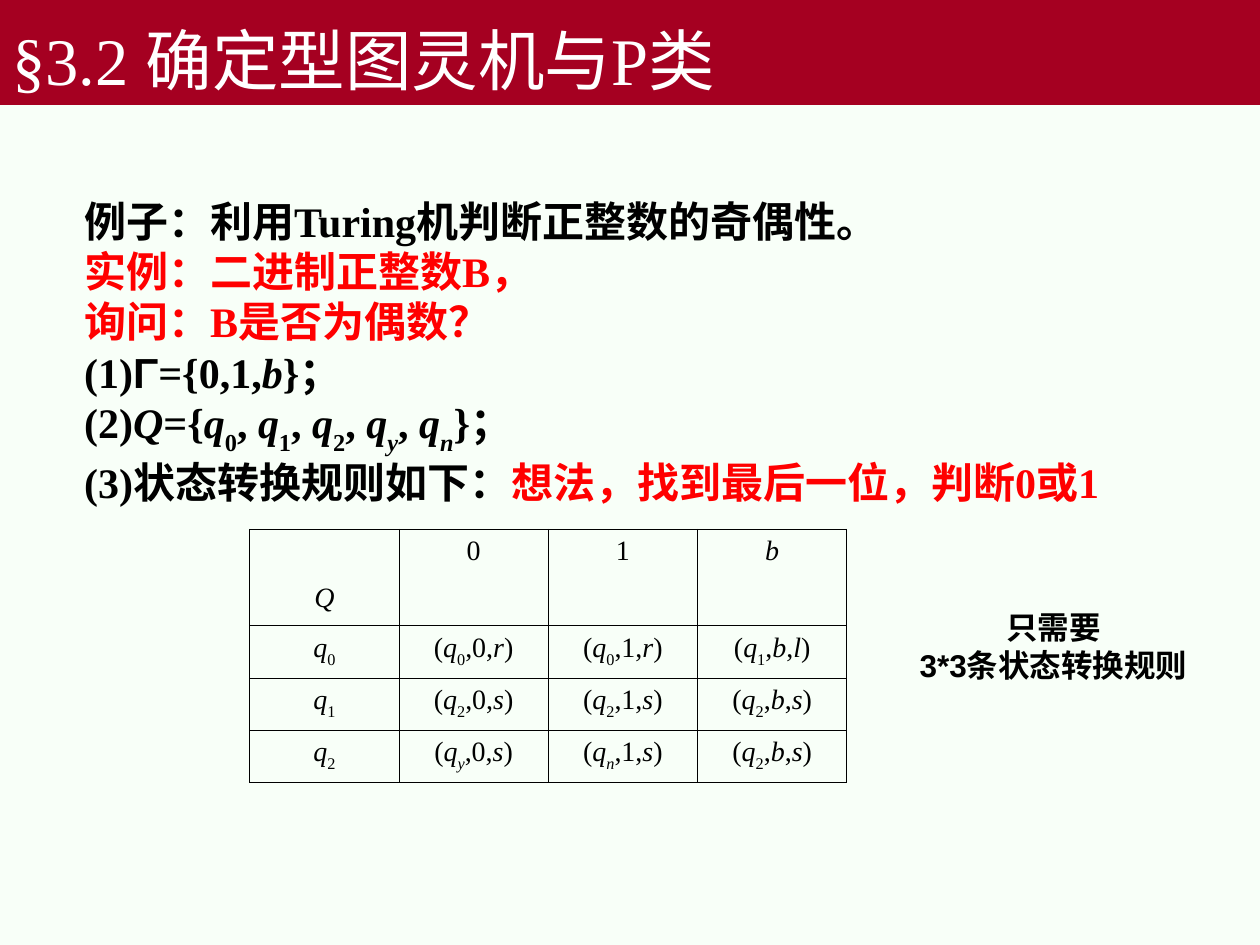
from lxml.etree import SubElement
from pptx import Presentation
from pptx.dml.color import RGBColor
from pptx.enum.shapes import MSO_SHAPE
from pptx.enum.text import MSO_ANCHOR, MSO_AUTO_SIZE, PP_ALIGN
from pptx.oxml.ns import qn
from pptx.util import Pt

COLORS = {"back": "F8FFF8", "bar": "A50021", "white": "FFFFFF",
          "black": "000000", "red": "FF0000"}
SERIF, SANS = "Times New Roman", "Arial"

# Each line is a list of (text, color, math).
LINES = [
    [("例子：利用Turing机判断正整数的奇偶性。", "black", False)],
    [("实例：二进制正整数B，", "red", False)],
    [("询问：B是否为偶数？", "red", False)],
    [("(1)Γ={0,1,b}；", "black", True)],
    [("(2)Q={q_0, q_1, q_2, q_y, q_n}；", "black", True)],
    [("(3)状态转换规则如下：", "black", False),
     ("想法，找到最后一位，判断0或1", "red", False)],
]
RULES = [
    ["Q", "0", "1", "b"],
    ["q_0", "(q_0,0,r)", "(q_0,1,r)", "(q_1,b,l)"],
    ["q_1", "(q_2,0,s)", "(q_2,1,s)", "(q_2,b,s)"],
    ["q_2", "(q_y,0,s)", "(q_n,1,s)", "(q_2,b,s)"],
]


def rgb(name):
    return RGBColor.from_string(COLORS[name])


def split(text, math):
    """Cut text into [chars, italic, low]; in math, "_" lowers the next sign."""
    if not math:
        return [[text, False, False]]
    parts, low = [], False
    for sign in text:
        if sign == "_":
            low = True
            continue
        slant = sign.isascii() and sign.isalpha()
        if parts and parts[-1][1:] == [slant, low] and "Γ" not in (sign, parts[-1][0]):
            parts[-1][0] += sign
        else:
            parts.append([sign, slant, low])
        low = False
    return parts


def write(frame, lines, size, font=SERIF, bold=False, align=PP_ALIGN.LEFT, space=None):
    """Fill a text frame with lines of (text, color, math) pieces."""
    for num, line in enumerate(lines):
        para = frame.add_paragraph() if num else frame.paragraphs[0]
        para.alignment = align
        if space:
            para.line_spacing = space
        for text, color, math in line:
            for chars, slant, low in split(text, math):
                run = para.add_run()
                run.text = chars
                face = run.font
                face.name = SANS if chars == "Γ" else font
                face.size, face.bold, face.italic = Pt(size), bold, slant
                face.color.rgb = rgb(color)
                if low:
                    run._r.get_or_add_rPr().set("baseline", "-30000")


def add_title(slide):
    bar = slide.shapes.add_shape(MSO_SHAPE.RECTANGLE, 0, 0, Pt(720), Pt(60))
    bar.shadow.inherit = False
    bar.fill.solid()
    bar.fill.fore_color.rgb = rgb("bar")
    bar.line.fill.background()
    frame = bar.text_frame
    frame.vertical_anchor = MSO_ANCHOR.BOTTOM
    write(frame, [[("§3.2 确定型图灵机与P类", "white", False)]], 38)


def add_box(slide, place, lines, size, wrap=True, anchor=MSO_ANCHOR.TOP, **look):
    frame = slide.shapes.add_textbox(*map(Pt, place)).text_frame
    frame.word_wrap = wrap
    frame.auto_size = MSO_AUTO_SIZE.SHAPE_TO_FIT_TEXT
    frame.vertical_anchor = anchor
    write(frame, lines, size, bold=True, **look)


def add_edges(cell):
    """Draw a thin line on all four sides of a cell."""
    props = cell._tc.get_or_add_tcPr()
    for num, side in enumerate(("lnL", "lnR", "lnT", "lnB")):
        edge = props.makeelement(qn("a:" + side), {"w": str(Pt(0.45))})
        fill = SubElement(edge, qn("a:solidFill"))
        SubElement(fill, qn("a:srgbClr"), val=COLORS["black"])
        props.insert(num, edge)


def add_rules(slide):
    wide, tall = 85.3, [55, 29.8, 29.8, 29.8]
    grid = slide.shapes.add_table(len(RULES), len(RULES[0]), Pt(142.7), Pt(302.4),
                                  Pt(4 * wide), Pt(sum(tall))).table
    grid.first_row = grid.horz_banding = False
    for col in grid.columns:
        col.width = Pt(wide)
    for row, high, texts in zip(grid.rows, tall, RULES):
        row.height = Pt(high)
        for cell, text in zip(row.cells, texts):
            cell.fill.background()
            add_edges(cell)
            write(cell.text_frame, [[(text, "black", True)]], 16,
                  align=PP_ALIGN.CENTER, space=2.5 if text == "Q" else None)


def main():
    deck = Presentation()
    deck.slide_width, deck.slide_height = Pt(720), Pt(540)
    slide = deck.slides.add_slide(deck.slide_layouts[6])
    slide.background.fill.solid()
    slide.background.fill.fore_color.rgb = rgb("back")
    add_title(slide)
    add_box(slide, (41, 108, 620, 185), LINES, 24, wrap=False,
            anchor=MSO_ANCHOR.MIDDLE)
    add_rules(slide)
    note = [[(text, "black", False)] for text in ("只需要", "3*3条状态转换规则")]
    add_box(slide, (515, 344, 174, 50), note, 18, font=SANS,
            align=PP_ALIGN.CENTER)
    deck.save("out.pptx")


if __name__ == "__main__":
    main()
